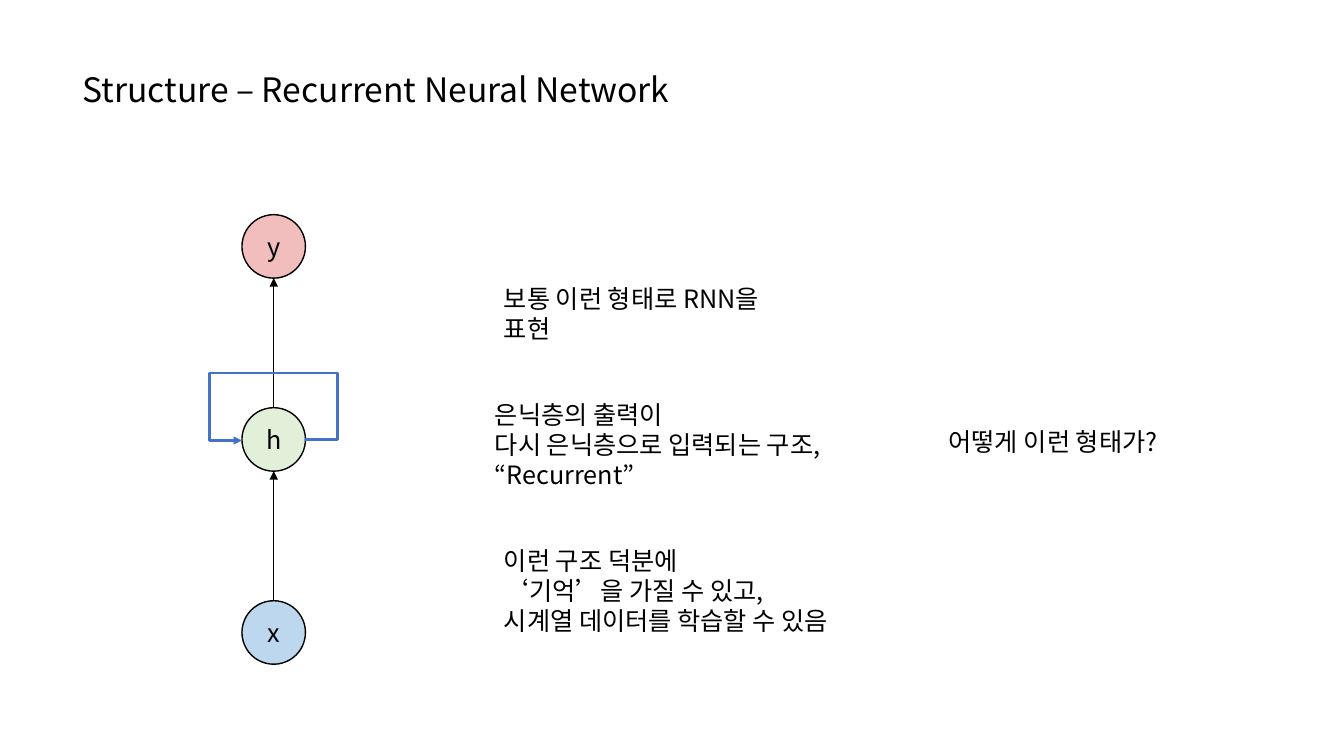
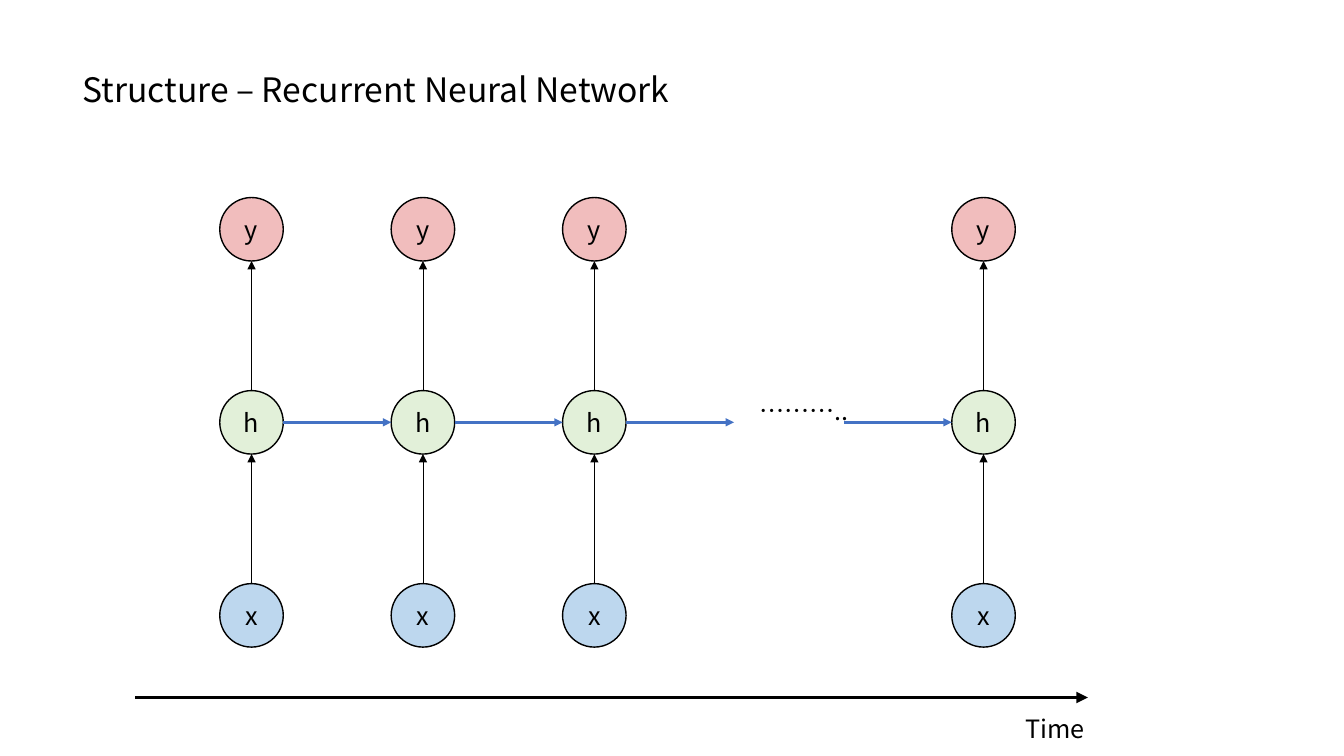
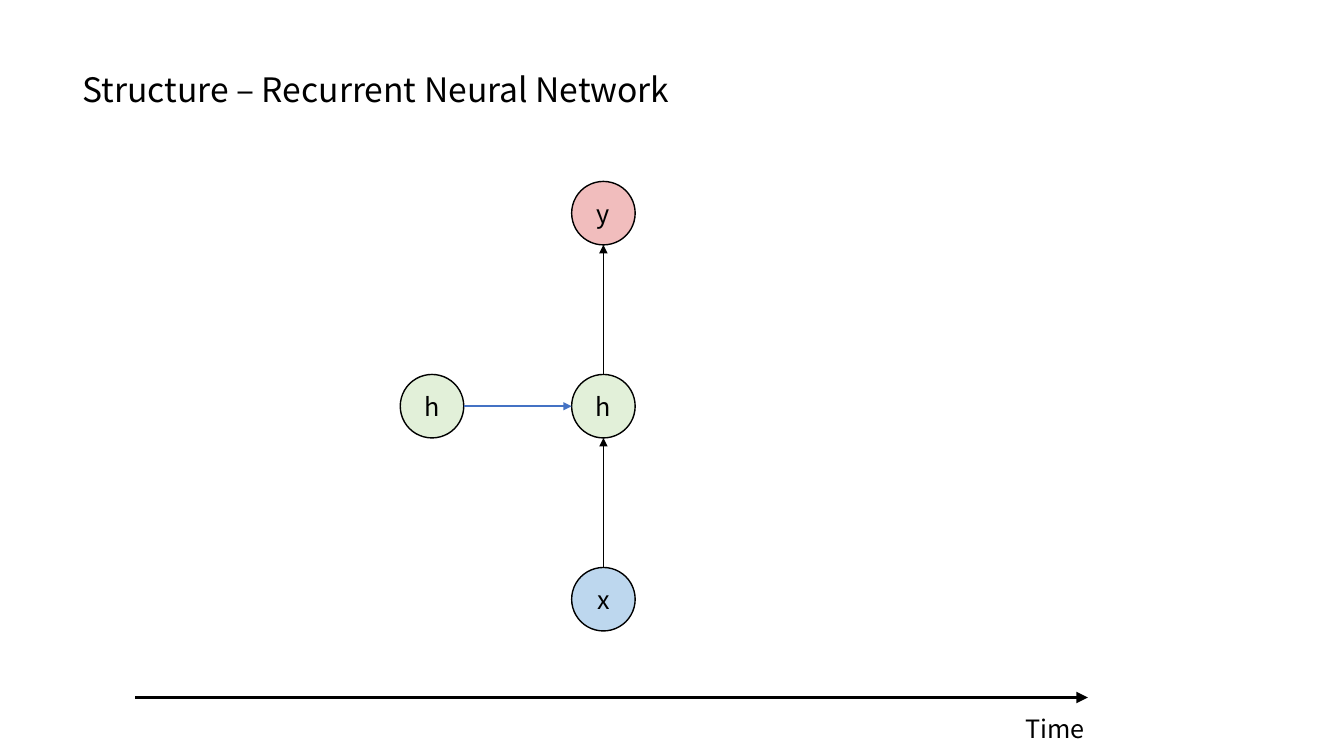
from dataclasses import dataclass

from lxml import etree
from pptx import Presentation
from pptx.dml.color import RGBColor
from pptx.enum.shapes import MSO_CONNECTOR, MSO_SHAPE
from pptx.enum.text import MSO_ANCHOR, MSO_AUTO_SIZE, PP_ALIGN
from pptx.oxml.ns import qn
from pptx.util import Inches, Pt


@dataclass(frozen=True)
class Theme:
    """Colours, type and line weights shared by all slides."""
    font: str = "Noto Sans CJK KR"
    ink: str = "000000"
    recurrent: str = "4472C4"
    input: str = "BDD7EE"
    hidden: str = "E2F0D9"
    output: str = "F1BDBD"
    title_size: float = 24
    body_size: float = 18
    outline: float = 1
    thin: float = 0.5
    medium: float = 1.75
    thick: float = 2.75


THEME = Theme()
NODE = 0.63
COLUMN_HEIGHT = 4.46
NODE_STEP = (COLUMN_HEIGHT - NODE) / 2
TITLE = "Structure – Recurrent Neural Network"


def write(frame, lines, size=THEME.body_size, align=PP_ALIGN.LEFT):
    """Fill a text frame with one paragraph per line."""
    frame.word_wrap = True
    for index, line in enumerate(lines):
        paragraph = frame.paragraphs[0] if index == 0 else frame.add_paragraph()
        paragraph.alignment = align
        run = paragraph.add_run()
        run.text = line
        run.font.size = Pt(size)
        run.font.name = THEME.font
        run.font.color.rgb = RGBColor.from_string(THEME.ink)
        east_asian = etree.SubElement(run.font._element, qn("a:ea"))
        east_asian.set("typeface", THEME.font)


def add_text(slide, box, *lines, size=THEME.body_size):
    """Place a text box in box: left, top, width, height."""
    frame = slide.shapes.add_textbox(*map(Inches, box)).text_frame
    write(frame, lines, size)
    frame.auto_size = MSO_AUTO_SIZE.SHAPE_TO_FIT_TEXT


def add_arrow(shapes, start, end, color, weight, kind=MSO_CONNECTOR.STRAIGHT):
    """Draw a connector with a triangle at its end."""
    arrow = shapes.add_connector(kind, *map(Inches, (*start, *end)))
    arrow.line.color.rgb = RGBColor.from_string(color)
    arrow.line.width = Pt(weight)
    etree.SubElement(arrow.line._get_or_add_ln(), qn("a:tailEnd")).set("type", "triangle")
    etree.SubElement(arrow._element.spPr, qn("a:effectLst"))
    return arrow


def add_node(shapes, left, top, label, fill):
    """Draw a labelled circle."""
    node = shapes.add_shape(MSO_SHAPE.OVAL, *map(Inches, (left, top, NODE, NODE)))
    node.shadow.inherit = False
    node.fill.solid()
    node.fill.fore_color.rgb = RGBColor.from_string(fill)
    node.line.color.rgb = RGBColor.from_string(THEME.ink)
    node.line.width = Pt(THEME.outline)
    node.text_frame.vertical_anchor = MSO_ANCHOR.MIDDLE
    write(node.text_frame, [label], align=PP_ALIGN.CENTER)


def add_column(shapes, left, top):
    """Stack output, hidden and input nodes, joined by upward arrows."""
    center = left + NODE / 2
    for level in (0, 1):
        upper_bottom = top + level * NODE_STEP + NODE
        lower_top = top + (level + 1) * NODE_STEP
        add_arrow(shapes, (center, lower_top), (center, upper_bottom), THEME.ink, THEME.thin)
    layers = (("y", THEME.output), ("h", THEME.hidden), ("x", THEME.input))
    for level, (label, fill) in enumerate(layers):
        add_node(shapes, left, top + level * NODE_STEP, label, fill)


def add_self_loop(shapes, left, top):
    """Lead the right side of a node over its top and back to its left side."""
    reach, rise, drop = 0.32, 0.67, 0.01
    middle = top + NODE / 2
    loop = add_arrow(shapes, (left + NODE, middle), (left, middle + drop),
                     THEME.recurrent, THEME.medium, MSO_CONNECTOR.ELBOW)
    geometry = loop._element.spPr.find(qn("a:prstGeom"))
    geometry.set("prst", "bentConnector5")
    guides = geometry.find(qn("a:avLst"))
    if guides is None:
        guides = etree.SubElement(geometry, qn("a:avLst"))
    ratios = (-reach / NODE, -rise / drop, 1 + reach / NODE)
    for number, ratio in enumerate(ratios, start=1):
        guide = etree.SubElement(guides, qn("a:gd"))
        guide.set("name", f"adj{number}")
        guide.set("fmla", f"val {round(ratio * 100000)}")


def add_step_arrow(shapes, left, right, column_top):
    """Draw the recurrent arrow at the height of the hidden nodes."""
    middle = column_top + NODE_STEP + NODE / 2
    add_arrow(shapes, (left, middle), (right, middle), THEME.recurrent, THEME.medium)


def add_time_axis(slide, left, top, width):
    """Draw the time arrow with its label under the tip."""
    right = left + width
    add_arrow(slide.shapes, (left, top), (right, top), THEME.ink, THEME.thick)
    add_text(slide, (right - 0.72, top + 0.11, 1.19, 0.4), "Time")


def new_slide(deck):
    """Add a blank slide carrying the shared title."""
    slide = deck.slides.add_slide(deck.slide_layouts[6])
    add_text(slide, (0.72, 0.63, 6.72, 0.5), TITLE, size=THEME.title_size)
    return slide


def folded_slide(deck, left=2.4, top=2.13):
    """Show the network as one column with a loop, and explain it."""
    slide = new_slide(deck)
    add_text(slide, (4.9, 2.76, 3.2, 0.4), "보통 이런 형태로 RNN을 표현")
    add_column(slide.shapes, left, top)
    add_self_loop(slide.shapes, left, top + NODE_STEP)
    add_text(slide, (4.81, 3.91, 4.02, 1.01),
             "은닉층의 출력이", "다시 은닉층으로 입력되는 구조,", "“Recurrent”")
    add_text(slide, (4.9, 5.36, 4.02, 1.01),
             "이런 구조 덕분에", "‘기억’을 가질 수 있고,", "시계열 데이터를 학습할 수 있음")
    add_text(slide, (9.31, 4.18, 4.02, 0.4), "어떻게 이런 형태가?")


def unrolled_slide(deck, left=2.18, top=1.96, pitch=1.7, last=9.44):
    """Show the network unrolled over time."""
    slide = new_slide(deck)
    first_steps = [left + index * pitch for index in range(3)]
    for column_left in (*first_steps, last):
        add_column(slide.shapes.add_group_shape().shapes, column_left, top)
    add_text(slide, (7.43, top + NODE_STEP, 1.1, 0.4), "………..")
    gap = pitch - NODE
    for arrow_left in (*(step + NODE for step in first_steps), last - gap):
        add_step_arrow(slide.shapes, arrow_left, arrow_left + gap, top)
    add_time_axis(slide, 1.34, 6.92, 9.45)


def single_step_slide(deck, left=5.67, top=1.8, pitch=1.7):
    """Show one time step fed by the previous hidden node."""
    slide = new_slide(deck)
    previous = left - pitch
    add_node(slide.shapes, previous, top + NODE_STEP, "h", THEME.hidden)
    add_column(slide.shapes, left, top)
    add_step_arrow(slide.shapes, previous + NODE, left, top)
    add_time_axis(slide, 1.34, 6.92, 9.45)


def main():
    """Build and save the presentation."""
    deck = Presentation()
    deck.slide_width, deck.slide_height = Inches(13.33), Inches(7.5)
    folded_slide(deck)
    unrolled_slide(deck)
    single_step_slide(deck)
    deck.save("out.pptx")


main()
